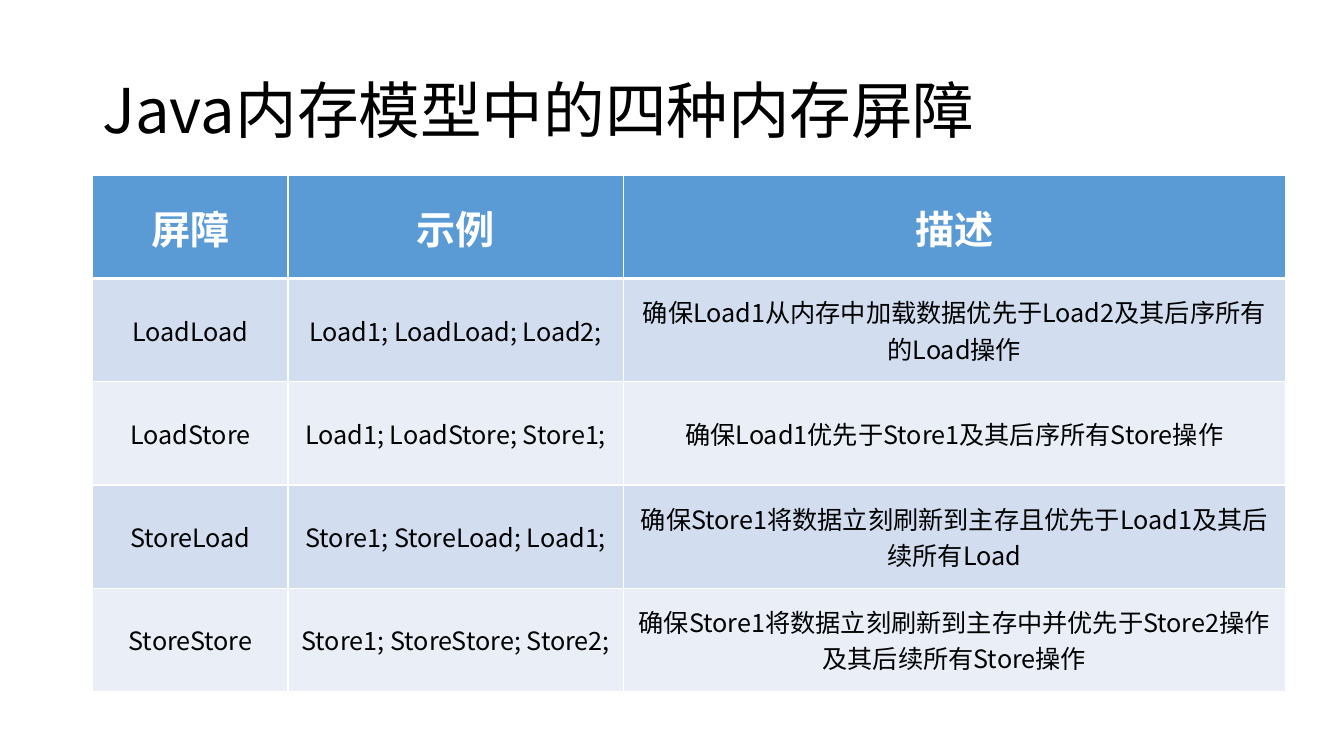
from lxml import etree
from pptx import Presentation
from pptx.dml.color import RGBColor
from pptx.enum.text import MSO_ANCHOR, PP_ALIGN
from pptx.oxml.ns import qn
from pptx.util import Cm, Pt

MIDDLE = MSO_ANCHOR.MIDDLE
LEFT, CENTER = PP_ALIGN.LEFT, PP_ALIGN.CENTER

BLACK = RGBColor(0x00, 0x00, 0x00)
WHITE = RGBColor(0xFF, 0xFF, 0xFF)
HEADER_BLUE = RGBColor(0x5B, 0x9B, 0xD5)
BAND_DARK = RGBColor(0xD2, 0xDE, 0xEF)
BAND_LIGHT = RGBColor(0xEA, 0xEF, 0xF7)

TITLE = "Java内存模型中的四种内存屏障"
BARRIERS = [
    ("屏障", "示例", "描述"),
    ("LoadLoad", "Load1; LoadLoad; Load2;",
     "确保Load1从内存中加载数据优先于Load2及其后序所有的Load操作"),
    ("LoadStore", "Load1; LoadStore; Store1;",
     "确保Load1优先于Store1及其后序所有Store操作"),
    ("StoreLoad", "Store1; StoreLoad; Load1;",
     "确保Store1将数据立刻刷新到主存且优先于Load1及其后续所有Load"),
    ("StoreStore", "Store1; StoreStore; Store2;",
     "确保Store1将数据立刻刷新到主存中并优先于Store2操作及其后续所有Store操作"),
]


class SlideBuilder:
    font_name = "Noto Sans CJK SC"

    def __init__(self, slide):
        self.slide = slide

    def set_text(self, text_frame, text, size, color, align, bold=False):
        paragraph = text_frame.paragraphs[0]
        paragraph.text = text
        paragraph.alignment = align
        font = paragraph.font
        font.name, font.size, font.bold = self.font_name, Pt(size), bold
        font.color.rgb = color
        # The East Asian typeface has no public setter
        properties = paragraph._p.pPr.find(qn("a:defRPr"))
        etree.SubElement(properties, qn("a:ea"), typeface=self.font_name)
        return paragraph

    def title(self, text, left, top, width, height):
        shape = self.slide.shapes.add_textbox(left, top, width, height)
        text_frame = shape.text_frame
        text_frame.word_wrap = True
        text_frame.vertical_anchor = MIDDLE
        self.set_text(text_frame, text, 44, BLACK, LEFT).line_spacing = 0.9

    def borders(self, cell, bottom_width):
        properties = cell._tc.get_or_add_tcPr()
        for side, width in zip("LRTB", (1, 1, 1, bottom_width)):
            line = etree.SubElement(properties, qn(f"a:ln{side}"), w=str(Pt(width)))
            fill = etree.SubElement(line, qn("a:solidFill"))
            etree.SubElement(fill, qn("a:srgbClr"), val=str(WHITE))

    def table(self, rows, left, top, column_widths, row_height):
        table = self.slide.shapes.add_table(
            len(rows), len(column_widths), left, top,
            sum(column_widths), row_height * len(rows)).table
        for column, width in zip(table.columns, column_widths):
            column.width = width
        for row_index, texts in enumerate(rows):
            header = row_index == 0
            band = BAND_DARK if row_index % 2 else BAND_LIGHT
            for column_index, text in enumerate(texts):
                cell = table.cell(row_index, column_index)
                cell.vertical_anchor = MIDDLE
                # A thicker rule closes the header row
                self.borders(cell, 3 if header else 1)
                cell.fill.solid()
                cell.fill.fore_color.rgb = HEADER_BLUE if header else band
                self.set_text(cell.text_frame, text, 28 if header else 18,
                              WHITE if header else BLACK, CENTER, header)


presentation = Presentation()
presentation.slide_width, presentation.slide_height = Cm(33.87), Cm(19.05)
builder = SlideBuilder(presentation.slides.add_slide(presentation.slide_layouts[6]))

# Title
builder.title(TITLE, Cm(2.33), Cm(1.01), Cm(29.21), Cm(3.68))

# Table of the four barriers
builder.table(BARRIERS, Cm(2.34), Cm(4.42), [Cm(4.92), Cm(8.45), Cm(16.68)], Cm(2.6))

presentation.save("out.pptx")
